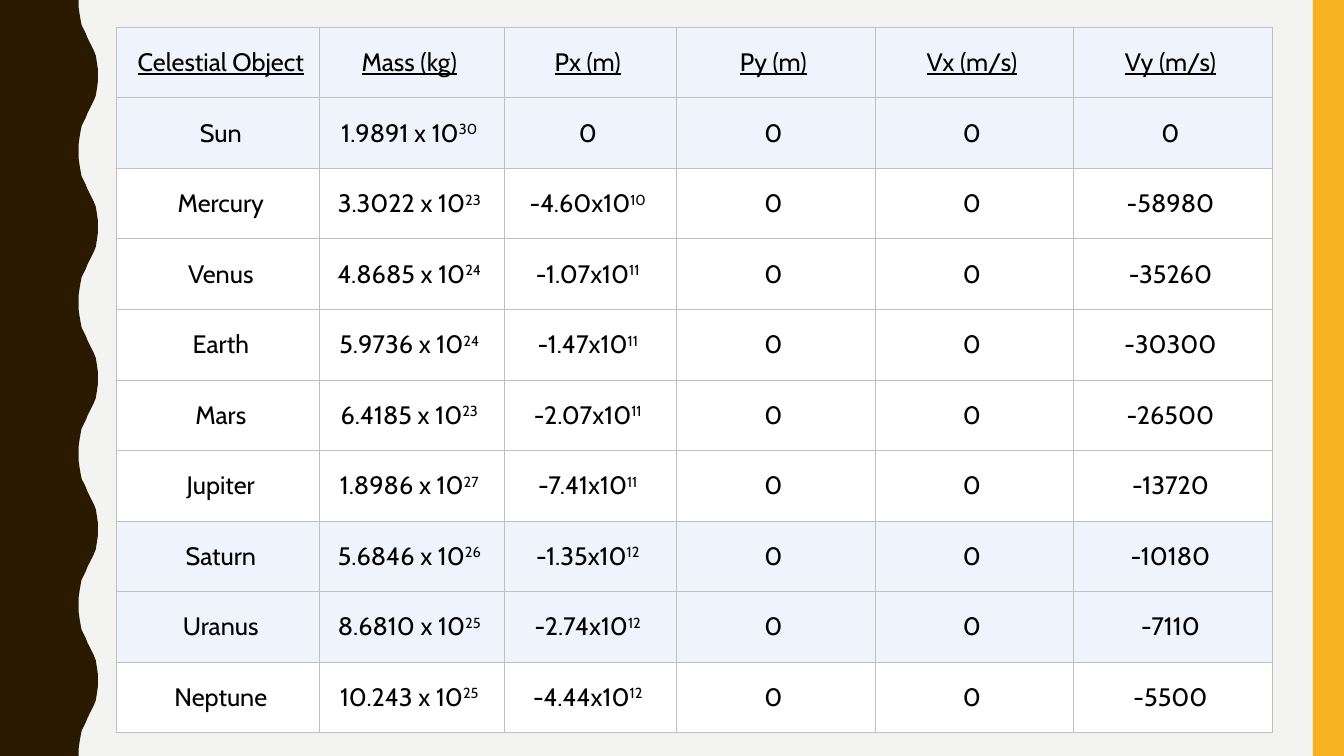
from lxml import etree
from pptx import Presentation
from pptx.dml.color import RGBColor
from pptx.enum.shapes import MSO_SHAPE
from pptx.enum.text import MSO_ANCHOR, PP_ALIGN
from pptx.oxml.ns import qn
from pptx.util import Inches, Pt

RECTANGLE = MSO_SHAPE.RECTANGLE
MIDDLE = MSO_ANCHOR.MIDDLE
CENTER = PP_ALIGN.CENTER

BACKGROUND = "F3F3F2"
BROWN = "2A1A00"
YELLOW = "F8B323"
PALE_BLUE = "EFF3FB"
WHITE = "FFFFFF"
BLACK = "000000"
GRID = "C0C0C0"

COLUMN_WIDTHS = [2.01, 1.83, 1.71, 1.97, 1.97, 1.97]
ROW_HEIGHT = 0.7
HEADERS = ["Celestial Object", "Mass (kg)", "Px (m)", "Py (m)", "Vx (m/s)", "Vy (m/s)"]
BODIES = [
    ("Sun", "1.9891 x 10^30", "0", "0"),
    ("Mercury", "3.3022 x 10^23", "-4.60x10^10", "-58980"),
    ("Venus", "4.8685 x 10^24", "-1.07x10^11", "-35260"),
    ("Earth", "5.9736 x 10^24", "-1.47x10^11", "-30300"),
    ("Mars", "6.4185 x 10^23", "-2.07x10^11", "-26500"),
    ("Jupiter", "1.8986 x 10^27", "-7.41x10^11", "-13720"),
    ("Saturn", "5.6846 x 10^26", "-1.35x10^12", "-10180"),
    ("Uranus", "8.6810 x 10^25", "-2.74x10^12", "-7110"),
    ("Neptune", "10.243 x 10^25", "-4.44x10^12", "-5500"),
]
SHADED_ROWS = {0, 1, 7, 8}

HALF_WAVE = 0.75
WAVE_COUNT = 5
WAVE_RISE = [
    (0, 0.78), (0.07, 0.78), (0.14, 0.79), (0.2, 0.8), (0.25, 0.81),
    (0.29, 0.83), (0.33, 0.85), (0.38, 0.87), (0.42, 0.89), (0.46, 0.91),
    (0.5, 0.93), (0.55, 0.95), (0.61, 0.96), (0.68, 0.97), (0.75, 0.97),
]


def rgb(color):
    return RGBColor.from_string(color)


def paint(sp, color):
    sp.shadow.inherit = False
    sp.fill.solid()
    sp.fill.fore_color.rgb = rgb(color)
    sp.line.fill.background()


def add_wavy_edge(slide):
    wave_fall = [(2 * HALF_WAVE - y, x) for y, x in reversed(WAVE_RISE[:-1])]
    wave = WAVE_RISE + wave_fall
    points = [
        (Inches(x), Inches(2 * HALF_WAVE * i + y))
        for i in range(WAVE_COUNT)
        for y, x in wave
    ]
    builder = slide.shapes.build_freeform(0, 0)
    builder.add_line_segments(points + [(0, Inches(7.5))], close=True)
    paint(builder.convert_to_shape(), BROWN)


def add_side_bar(slide):
    sp = slide.shapes.add_shape(
        RECTANGLE, Inches(13.02), 0, Inches(0.31), Inches(7.5)
    )
    paint(sp, YELLOW)


def add_run(p, text, size=18, font="Cabin", color=BLACK, underline=False, raised=False):
    r = p.add_run()
    r.text = text
    r.font.size = Pt(size)
    r.font.name = font
    r.font.color.rgb = rgb(color)
    r.font.bold = False
    r.font.underline = underline
    if raised:
        r.font._element.set("baseline", "30000")


def add_borders(cell, color, width):
    tc_pr = cell._tc.get_or_add_tcPr()
    for side in ("a:lnL", "a:lnR", "a:lnT", "a:lnB"):
        line = etree.SubElement(tc_pr, qn(side), w=str(Pt(width)))
        fill = etree.SubElement(line, qn("a:solidFill"))
        etree.SubElement(fill, qn("a:srgbClr"), val=color)


def fill_cell(cell, text, color, is_first, underline):
    cell.vertical_anchor = MIDDLE
    cell.margin_left = Inches(0.05 if is_first else 0)
    cell.margin_right = Inches(0 if is_first else 0.05)
    cell.margin_top = cell.margin_bottom = Inches(0.03)
    add_borders(cell, GRID, 0.75)
    cell.fill.solid()
    cell.fill.fore_color.rgb = rgb(color)
    p = cell.text_frame.paragraphs[0]
    p.alignment = CENTER
    base, _, exponent = text.partition("^")
    add_run(p, base, underline=underline)
    if exponent:
        add_run(p, exponent, raised=True)


def add_orbit_table(slide):
    rows = [HEADERS] + [[name, mass, px, "0", "0", vy] for name, mass, px, vy in BODIES]
    table = slide.shapes.add_table(
        len(rows), len(HEADERS), Inches(1.16), Inches(0.27),
        Inches(sum(COLUMN_WIDTHS)), Inches(ROW_HEIGHT * len(rows)),
    ).table
    table.first_row = False
    table.horz_banding = False
    for column, width in zip(table.columns, COLUMN_WIDTHS):
        column.width = Inches(width)
    for i, values in enumerate(rows):
        table.rows[i].height = Inches(ROW_HEIGHT)
        color = PALE_BLUE if i in SHADED_ROWS else WHITE
        for j, text in enumerate(values):
            fill_cell(table.cell(i, j), text, color, j == 0, i == 0)


def main():
    prs = Presentation()
    prs.slide_width = Inches(13.33)
    prs.slide_height = Inches(7.5)
    slide = prs.slides.add_slide(prs.slide_layouts[6])
    slide.background.fill.solid()
    slide.background.fill.fore_color.rgb = rgb(BACKGROUND)
    add_wavy_edge(slide)
    add_side_bar(slide)
    add_orbit_table(slide)
    prs.save("out.pptx")


main()
